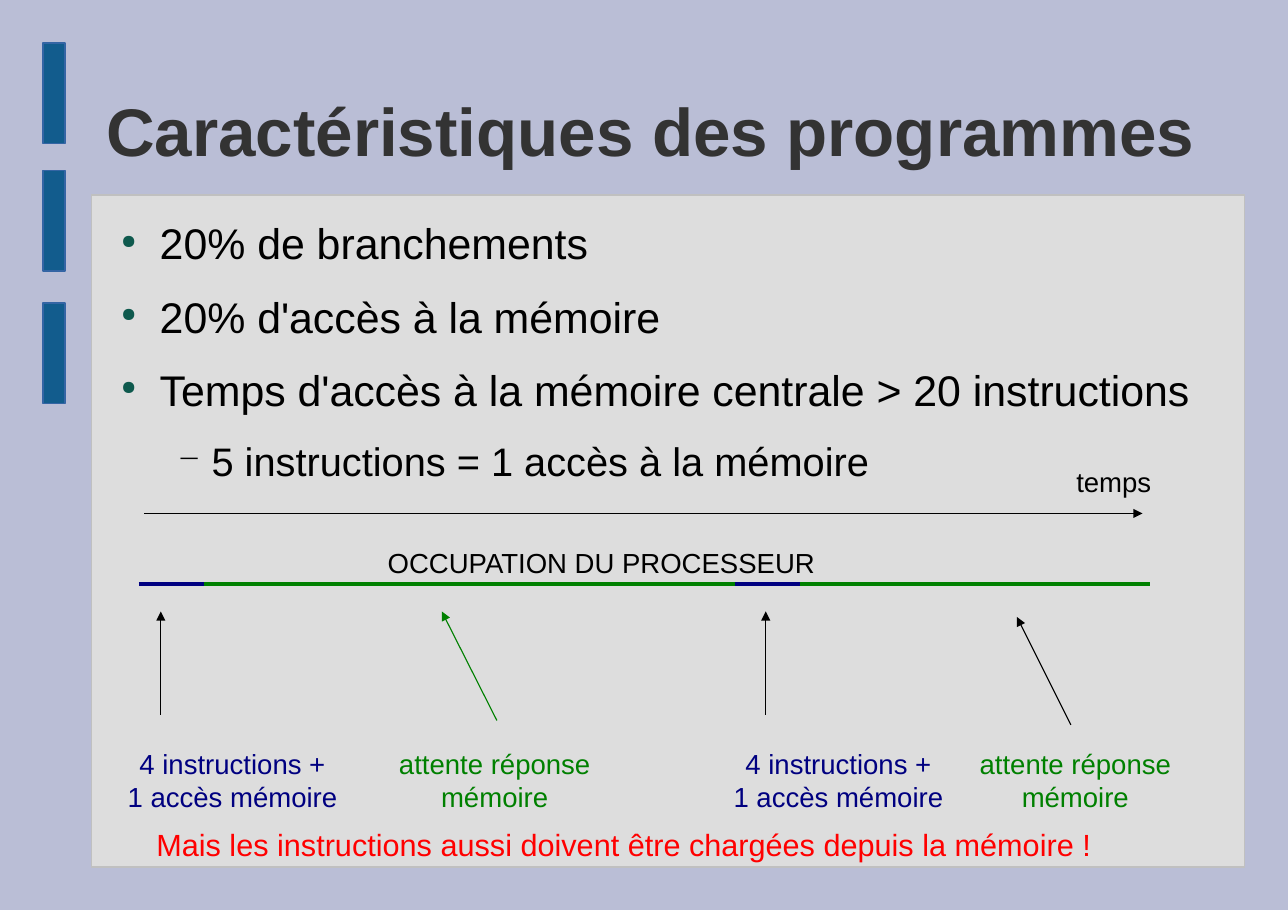
from dataclasses import dataclass

from lxml import etree
from pptx import Presentation
from pptx import util as u
from pptx.dml.color import RGBColor
from pptx.enum import shapes, text
from pptx.oxml.ns import qn

CELL = 0.1
COLUMNS, ROWS = 116.9, 82.6


@dataclass(frozen=True)
class Theme:
    font: str = "Arial"
    background: str = "BABED6"
    panel: str = "DDDDDD"
    panel_edge: str = "C0C0C0"
    bar: str = "125C8D"
    bar_edge: str = "3465A4"
    heading: str = "333333"
    ink: str = "000000"
    bullet: str = "0E594D"
    compute: str = "000080"
    wait: str = "008000"
    warning: str = "FF0000"
    title_size: int = 44
    body_size: int = 28
    detail_size: int = 26
    warning_size: int = 20
    label_size: int = 18
    thin: float = 0.75
    thick: float = 3


THEME = Theme()


def grid(*cells):
    return [u.Inches(cell * CELL) for cell in cells]


def color(value):
    return RGBColor.from_string(value)


def add_child(parent, tag, **attributes):
    return etree.SubElement(parent, qn(tag), attributes)


def add_block(page, place, fill, edge):
    block = page.shapes.add_shape(shapes.MSO_SHAPE.RECTANGLE, *grid(*place))
    block.shadow.inherit = False
    block.fill.solid()
    block.fill.fore_color.rgb = color(fill)
    block.line.color.rgb = color(edge)
    block.line.width = 0


def add_line(page, start, end, ink, width=THEME.thin, arrow=False):
    line = page.shapes.add_connector(shapes.MSO_CONNECTOR.STRAIGHT, *grid(*start, *end))
    line.line.color.rgb = color(ink)
    line.line.width = u.Pt(width)
    if arrow:
        add_child(line.line._get_or_add_ln(), "a:tailEnd", type="triangle")
    add_child(line._element.spPr, "a:effectLst")


def style(para, size, ink, bold=False):
    font = para.font
    font.name = THEME.font
    font.size = u.Pt(size)
    font.bold = bold
    font.color.rgb = color(ink)


def add_frame(page, place, margins=(1, 0.5), wrap=False):
    frame = page.shapes.add_textbox(*grid(*place)).text_frame
    frame.word_wrap = wrap
    frame.margin_left = frame.margin_right = grid(margins[0])[0]
    frame.margin_top = frame.margin_bottom = grid(margins[1])[0]
    return frame


def add_paragraphs(frame, lines):
    frame.text = "\n".join(lines)
    return frame.paragraphs


def add_label(page, place, lines, ink, size=THEME.label_size, centred=False):
    for para in add_paragraphs(add_frame(page, place), lines):
        para.alignment = text.PP_ALIGN.CENTER if centred else text.PP_ALIGN.LEFT
        style(para, size, ink)


def add_title(page, words):
    frame = add_frame(page, (7.9, 5.9, 102.4, 11.8), (0, 0), True)
    frame.vertical_anchor = text.MSO_ANCHOR.MIDDLE
    para = add_paragraphs(frame, [words])[0]
    para.alignment = text.PP_ALIGN.CENTER
    style(para, THEME.title_size, THEME.heading, True)


def set_bullet(para, mark, ink, share, left, hanging):
    properties = para._p.get_or_add_pPr()
    properties.set("marL", str(grid(left)[0]))
    properties.set("indent", str(-grid(hanging)[0]))
    add_child(add_child(properties, "a:buClr"), "a:srgbClr", val=ink)
    add_child(properties, "a:buSzPct", val=str(share * 1000))
    add_child(properties, "a:buChar", char=mark)


def add_points(page, points, detail):
    frame = add_frame(page, (9.8, 19.7, 102.4, 53.2), (0, 0), True)
    *mains, last = add_paragraphs(frame, [*points, detail])
    for para in mains:
        set_bullet(para, "●", THEME.bullet, 45, 4.7, 3.5)
        para.space_after = u.Pt(14.2)
        style(para, THEME.body_size, THEME.ink)
    last.level = 1
    set_bullet(last, "−", THEME.ink, 75, 9.4, 3.1)
    last.space_after = u.Pt(11.3)
    style(last, THEME.detail_size, THEME.ink)


def add_timeline(page):
    add_line(page, (13.1, 46.6), (103.7, 46.6), THEME.ink, arrow=True)
    add_label(page, (96.7, 41.7, 8.8, 3.8), ["temps"], THEME.ink)
    add_label(page, (34.2, 49.1, 41.1, 3.8), ["OCCUPATION DU PROCESSEUR"], THEME.ink)
    stops = (12.6, 18.5, 66.7, 72.6, 104.4)
    for index, (left, right) in enumerate(zip(stops, stops[1:])):
        ink = THEME.wait if index % 2 else THEME.compute
        add_line(page, (left, 53), (right, 53), ink, THEME.thick)


def add_phases(page):
    compute = ["4 instructions +", "1 accès mémoire"]
    wait = ["attente réponse", "mémoire"]
    phases = (
        (10.6, 21, compute, THEME.compute, (14.6, 64.9), (14.6, 55.5), THEME.ink),
        (35.2, 19.4, wait, THEME.wait, (45.1, 65.4), (40.1, 55.5), THEME.wait),
        (65.6, 21, compute, THEME.compute, (69.5, 64.9), (69.5, 55.5), THEME.ink),
        (87.9, 19.4, wait, THEME.wait, (97.2, 65.8), (92.3, 56), THEME.ink),
    )
    for left, width, lines, ink, base, tip, arrow_ink in phases:
        add_line(page, base, tip, arrow_ink, arrow=True)
        add_label(page, (left, 67.3, width, 6.6), lines, ink, centred=True)


def main():
    deck = Presentation()
    deck.slide_width, deck.slide_height = grid(COLUMNS, ROWS)
    page = deck.slides.add_slide(deck.slide_layouts[6])
    page.background.fill.solid()
    page.background.fill.fore_color.rgb = color(THEME.background)

    add_block(page, (8.3, 17.7, 104.7, 61), THEME.panel, THEME.panel_edge)
    for top in (3.9, 15.5, 27.5):
        add_block(page, (3.9, top, 2, 9.1), THEME.bar, THEME.bar_edge)

    add_title(page, "Caractéristiques des programmes")
    add_points(
        page,
        [
            "20% de branchements",
            "20% d'accès à la mémoire",
            "Temps d'accès à la mémoire centrale > 20 instructions",
        ],
        "5 instructions = 1 accès à la mémoire",
    )
    add_timeline(page)
    add_phases(page)
    add_label(
        page,
        (13.2, 74.5, 86.9, 4.1),
        ["Mais les instructions aussi doivent être chargées depuis la mémoire !"],
        THEME.warning,
        THEME.warning_size,
    )
    deck.save("out.pptx")


if __name__ == "__main__":
    main()
